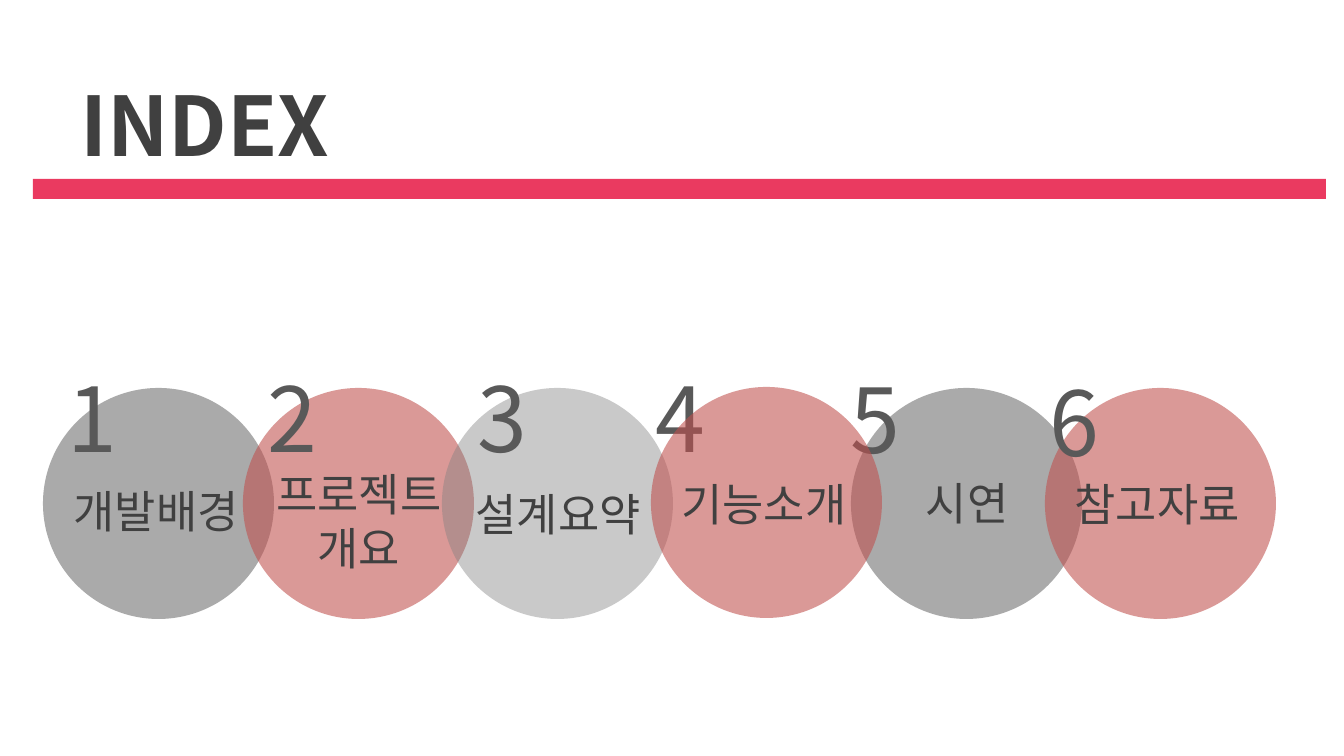
from pptx import Presentation
from pptx.dml.color import RGBColor
from pptx.enum.shapes import MSO_SHAPE
from pptx.enum.text import MSO_ANCHOR, PP_ALIGN
from pptx.oxml.ns import qn
from lxml.etree import SubElement

PX = 914400 / 134.4
FONT = "Noto Sans CJK KR"
DARK, GRAY, RED, LIGHT, PINK = "404040", "595959", "C0504D", "808080", "EA3A60"
DIAMETER = 231
ALPHA = {GRAY: 51, RED: 58, LIGHT: 42}  # opacity in percent

TITLE = {"size": 44, "bold": True, "color": DARK}
NUMBER = {"size": 48, "color": GRAY}
LABEL = {"size": 24, "color": DARK}

# number, label lines, colour, circle (left, top), then offsets from the circle
# of the number and the label; listed from back to front
STEPS = [
    ("1", ["개발배경"], GRAY, (43, 388), (11, -32), (8, 89)),
    ("2", ["프로젝트", "개요"], RED, (243, 388), (11, -32), (11, 72)),
    ("3", ["설계요약"], LIGHT, (442, 388), (22, -32), (11, 92)),
    ("5", ["시연"], GRAY, (851, 388), (-14, -31), (11, 81)),
    ("4", ["기능소개"], RED, (651, 387), (-9, -31), (8, 83)),
    ("6", ["참고자료"], RED, (1045, 388), (-9, -28), (7, 82)),
]


def px(*values):
    return [round(v * PX) for v in values]


def rgb(value):
    return RGBColor.from_string(value)


def add_filled(s, kind, box, color, alpha=100):
    sp = s.shapes.add_shape(kind, *px(*box))
    sp.shadow.inherit = False
    sp.fill.solid()
    sp.fill.fore_color.rgb = rgb(color)
    sp.line.fill.background()
    if alpha < 100:
        clr = sp._element.spPr.find(qn("a:solidFill"))[0]
        SubElement(clr, qn("a:alpha"), val=str(alpha * 1000))


def add_text(s, box, lines, style, align=PP_ALIGN.LEFT, anchor=MSO_ANCHOR.TOP):
    tf = s.shapes.add_textbox(*px(*box)).text_frame
    tf.word_wrap = True
    tf.vertical_anchor = anchor
    for i, line in enumerate(lines):
        p = tf.paragraphs[0] if i == 0 else tf.add_paragraph()
        p.alignment = align
        r = p.add_run()
        r.text = line
        values = {"name": FONT, "size": round(style["size"] * 12700),
                  "bold": style.get("bold", False)}
        for key, value in values.items():
            setattr(r.font, key, value)
        r.font.color.rgb = rgb(style["color"])
        SubElement(r._r.get_or_add_rPr(), qn("a:ea"), typeface=FONT)


def add_header(s, x, y, w):
    add_text(s, (x + 34, y, 1210, 168), ["INDEX"], TITLE,
             anchor=MSO_ANCHOR.MIDDLE)
    add_filled(s, MSO_SHAPE.RECTANGLE, (x, y + 139, w, 20), PINK)


def add_step(s, number, lines, color, origin, number_offset, label_offset):
    x, y = origin

    def draw_circle():
        add_filled(s, MSO_SHAPE.OVAL, (x, y, DIAMETER, DIAMETER), color,
                   ALPHA[color])

    def draw_number():
        dx, dy = number_offset
        add_text(s, (x + dx, y + dy, 85, 122), [number], NUMBER)

    # The fourth number shows through its circle
    parts = [draw_circle, draw_number]
    for draw in reversed(parts) if number == "4" else parts:
        draw()
    dx, dy = label_offset
    add_text(s, (x + dx, y + dy, 210, 13 + 54 * len(lines)), lines, LABEL,
             PP_ALIGN.CENTER)


def main():
    prs = Presentation()
    prs.slide_width, prs.slide_height = px(1344, 756)
    s = prs.slides.add_slide(prs.slide_layouts[6])
    add_header(s, 33, 40, 1293)
    for step in STEPS:
        add_step(s, *step)
    prs.save("out.pptx")


if __name__ == "__main__":
    main()
